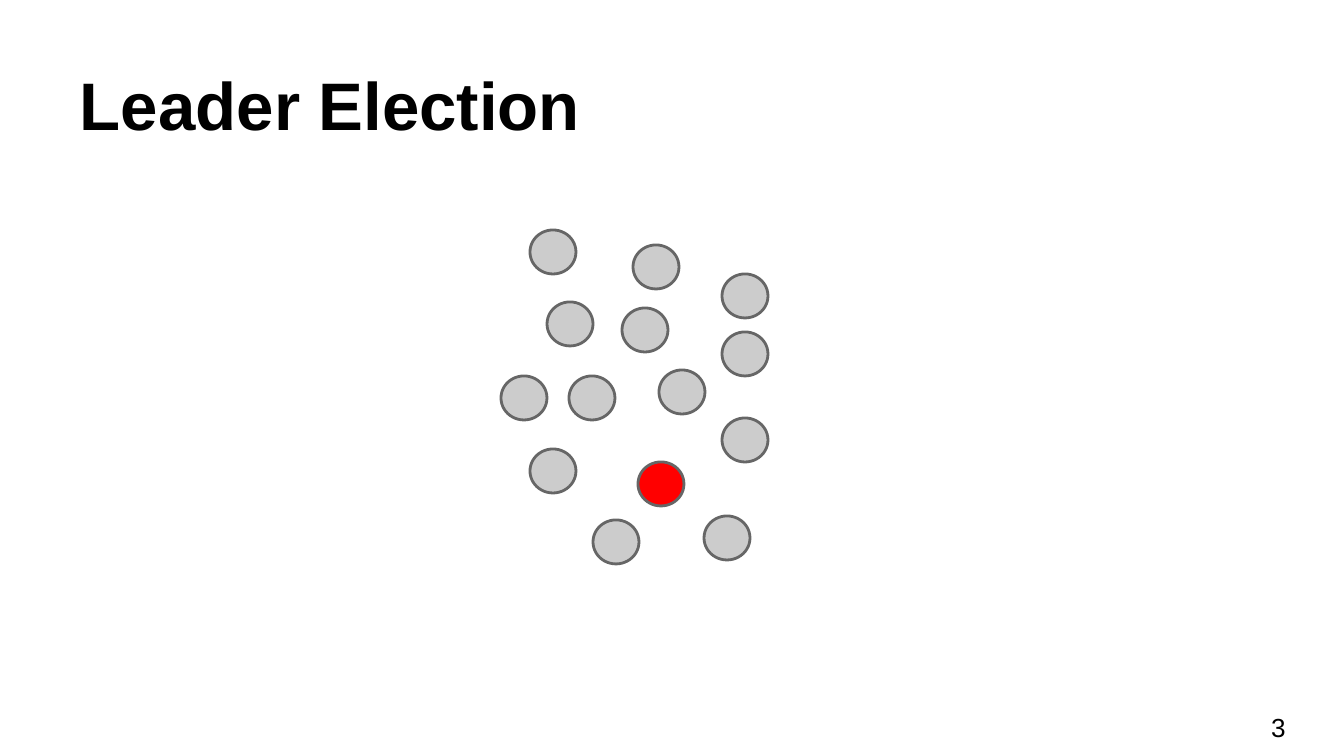
"""Build the Leader Election slide: a group of nodes with one red leader."""
from pptx import Presentation
from pptx.dml.color import RGBColor
from pptx.enum.shapes import MSO_SHAPE
from pptx.enum.text import MSO_ANCHOR
from pptx.util import Pt

BLACK = RGBColor(0x00, 0x00, 0x00)
GREY = RGBColor(0xCC, 0xCC, 0xCC)
DARK_GREY = RGBColor(0x66, 0x66, 0x66)
RED = RGBColor(0xFF, 0x00, 0x00)

SCALE = 914400 / 134.4
SLIDE_SIZE = (1344, 756)
INSET = 13
NODE_SIZE = (46, 44)

TEXTS = [
    ("Leader Election", (67, 31, 1210, 126), 36, True, MSO_ANCHOR.BOTTOM),
    ("3", (1258, 698, 81, 58), 14, False, MSO_ANCHOR.MIDDLE),
]
FOLLOWERS = [
    (530, 230), (547, 302), (633, 245), (622, 308), (501, 376),
    (569, 376), (722, 332), (659, 370), (722, 274), (722, 418),
    (704, 516), (593, 520), (530, 449),
]
LEADER = (638, 462)


def px(*lengths):
    return [round(length * SCALE) for length in lengths]


def add_text(page, text, place, size, bold, anchor):
    box = page.shapes.add_textbox(*px(*place))
    frame = box.text_frame
    frame.word_wrap = True
    frame.vertical_anchor = anchor
    frame.margin_left, frame.margin_top, frame.margin_right, frame.margin_bottom = px(*[INSET] * 4)
    frame.text = text
    font = frame.paragraphs[0].runs[0].font
    font.name, font.size, font.bold = "Arial", Pt(size), bold
    font.color.rgb = BLACK


def add_node(shapes, position, color):
    node = shapes.add_shape(MSO_SHAPE.OVAL, *px(*position, *NODE_SIZE))
    node.shadow.inherit = False
    node.fill.solid()
    node.fill.fore_color.rgb = color
    node.line.color.rgb = DARK_GREY
    node.line.width = Pt(1.5)


def main():
    deck = Presentation()
    deck.slide_width, deck.slide_height = px(*SLIDE_SIZE)
    page = deck.slides.add_slide(deck.slide_layouts[6])
    for text in TEXTS:
        add_text(page, *text)
    followers = page.shapes.add_group_shape()
    for position in FOLLOWERS:
        add_node(followers.shapes, position, GREY)
    add_node(page.shapes, LEADER, RED)
    deck.save("out.pptx")


if __name__ == "__main__":
    main()
